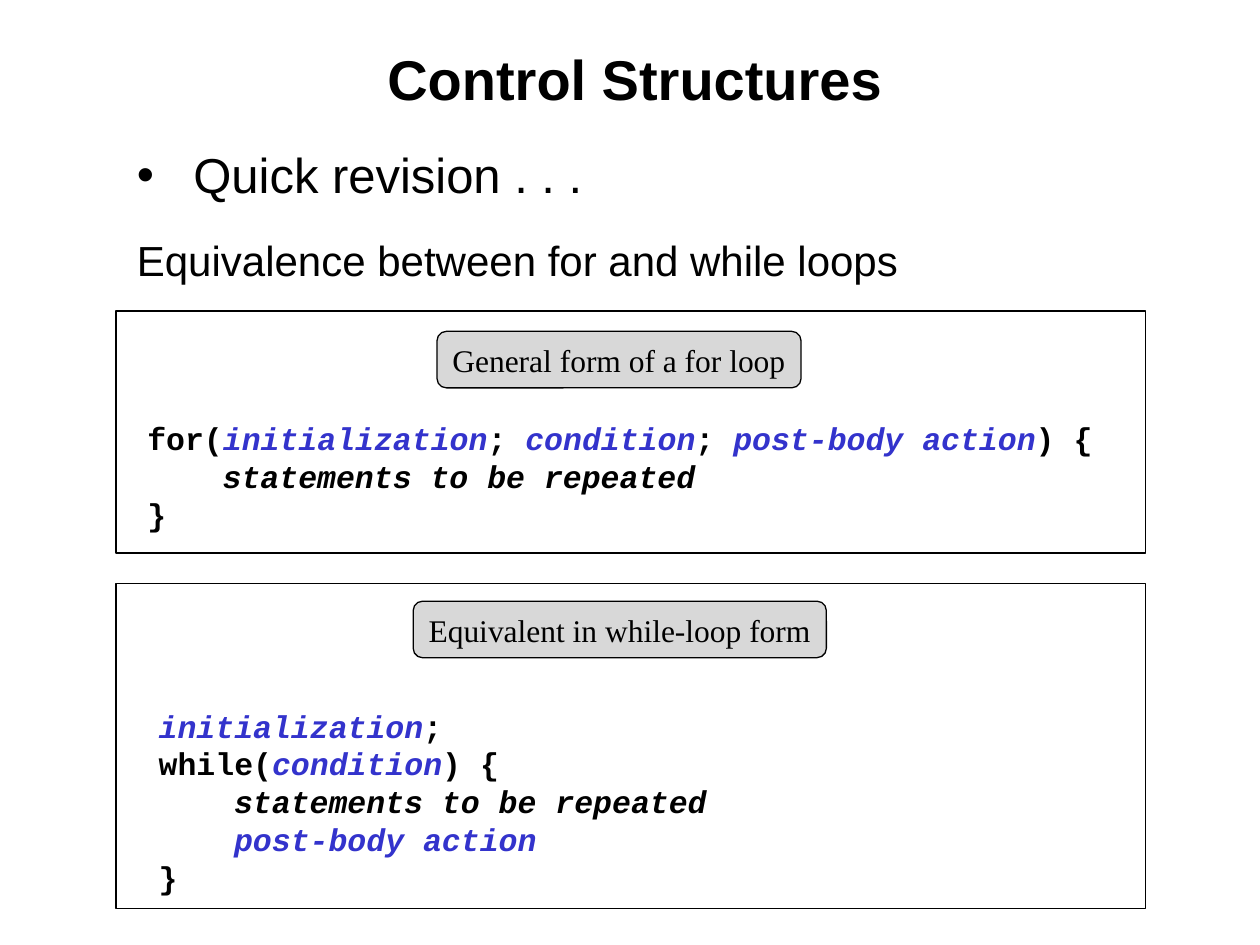
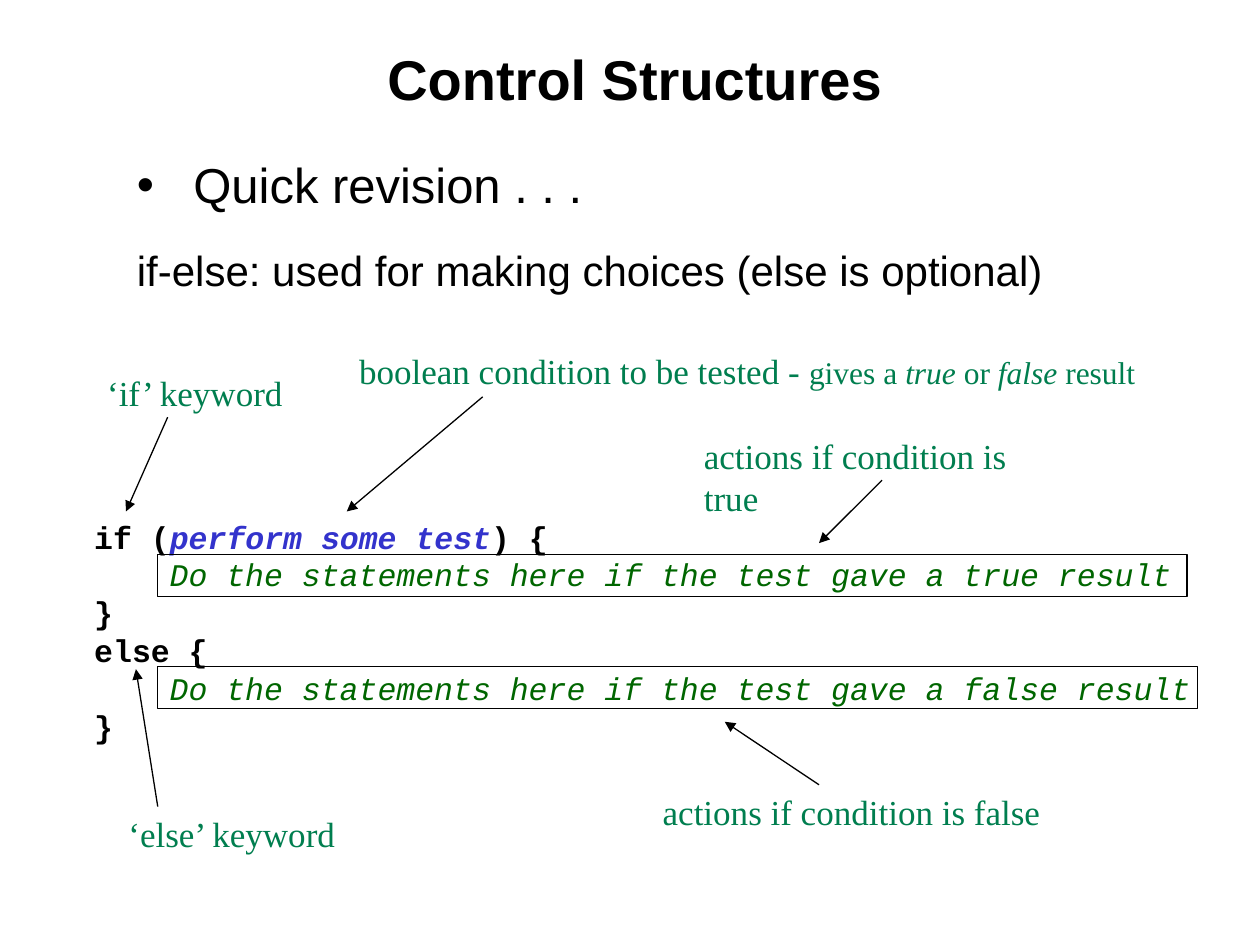
from lxml import etree
from pptx import Presentation
from pptx.dml.color import RGBColor
from pptx.enum.shapes import MSO_CONNECTOR, MSO_SHAPE
from pptx.enum.text import MSO_ANCHOR, PP_ALIGN
from pptx.oxml.ns import qn
from pptx.util import Cm, Pt

RECTANGLE = MSO_SHAPE.RECTANGLE
ROUNDED = MSO_SHAPE.ROUNDED_RECTANGLE
STRAIGHT = MSO_CONNECTOR.STRAIGHT
TOP, MIDDLE = MSO_ANCHOR.TOP, MSO_ANCHOR.MIDDLE
LEFT, CENTER = PP_ALIGN.LEFT, PP_ALIGN.CENTER

BLACK, BLUE, GREEN, TEAL, GREY = "000000", "3333CC", "006600", "007E4F", "B2B2B2"

TITLE = {"name": "Arial", "size": Pt(32), "bold": True, "color": BLACK}
TOPIC = {"name": "Arial", "size": Pt(28), "color": BLACK}
SUBTOPIC = {**TOPIC, "size": Pt(24)}
CAPTION = {"name": "Times New Roman", "size": Pt(18), "color": BLACK}
NOTE = {**CAPTION, "size": Pt(20), "color": TEAL}
DETAIL = {**NOTE, "size": Pt(18)}
DETAIL_ITALIC = {**DETAIL, "italic": True}
CODE = {"name": "Courier New", "size": Pt(18), "bold": True, "color": BLACK}
SLOT = {**CODE, "italic": True, "color": BLUE}
STATEMENT = {**CODE, "italic": True}
ACTION = {**STATEMENT, "bold": False, "color": GREEN}

CODE_INDENT = Cm(1.52)
BULLET_INDENT = Cm(1.14)
NOTE_HEIGHT = 1.12
FRAME_LEFT, FRAME_WIDTH = 2.34, 20.75
PILL_HEIGHT = 1.14
ACTION_LEFT, ACTION_HEIGHT = 3.18, 0.84


def rgb(value):
    """Turn a hex string into a colour."""
    return RGBColor.from_string(value)


def lengths(*values):
    """Turn centimetres into lengths."""
    return [Cm(value) for value in values]


class LectureDeck:
    """Holds the deck style and draws on the current page."""

    def __init__(self):
        """Start an empty 4:3 deck."""
        self.deck = Presentation()
        self.deck.slide_width, self.deck.slide_height = lengths(25.4, 19.05)
        self.page = None

    def add_spans(self, para, spans):
        """Add styled spans to a paragraph."""
        for text, style in spans:
            span = para.add_run()
            span.text = text
            for key, value in style.items():
                if key == "color":
                    span.font.color.rgb = rgb(value)
                else:
                    setattr(span.font, key, value)

    def fill_frame(self, box, lines, anchor=TOP, align=LEFT, wrap=True):
        """Put one paragraph per line and return the paragraphs."""
        frame = box.text_frame
        frame.word_wrap = wrap
        frame.vertical_anchor = anchor
        paras = [frame.paragraphs[0]] + [frame.add_paragraph() for _ in lines[1:]]
        for para, spans in zip(paras, lines):
            para.alignment = align
            self.add_spans(para, spans)
        return paras

    def text(self, place, lines):
        """Add a text box."""
        box = self.page.shapes.add_textbox(*lengths(*place))
        return self.fill_frame(box, lines)

    def new_page(self, title, topic, subtopic, topic_top, topic_width):
        """Add a page with its title, bulleted topic and subtopic."""
        self.page = self.deck.slides.add_slide(self.deck.slide_layouts[5])
        box = self.page.shapes.title
        box.left, box.top, box.width, box.height = lengths(4.01, 0.84, 17.58, 1.47)
        self.fill_frame(box, [[(title, TITLE)]], MIDDLE, CENTER)
        lines = [[(topic, TOPIC)], [(subtopic, SUBTOPIC)]]
        para = self.text((2.51, topic_top, topic_width, 2.97), lines)[0]
        spacing = {"line_spacing": 0.9, "space_before": Pt(7), "space_after": Pt(17.5)}
        for key, value in spacing.items():
            setattr(para, key, value)
        properties = para._p.get_or_add_pPr()
        properties.set("marL", str(BULLET_INDENT))
        properties.set("indent", str(-BULLET_INDENT))
        etree.SubElement(properties, qn("a:buFont"), typeface="Arial")
        etree.SubElement(properties, qn("a:buChar"), char="•")

    def code(self, place, rows):
        """Add a code listing from rows of (level, spans)."""
        paras = self.text(place, [spans for _, spans in rows])
        for para, (level, _) in zip(paras, rows):
            para._p.get_or_add_pPr().set("marL", str(level * CODE_INDENT))

    def note(self, left, top, width, *spans):
        """Add a one-line annotation."""
        self.text((left, top, width, NOTE_HEIGHT), [spans])

    def outline(self, place, kind=RECTANGLE):
        """Add an unfilled shape with a thin black line."""
        shape = self.page.shapes.add_shape(kind, *lengths(*place))
        shape.shadow.inherit = False
        shape.fill.background()
        shape.line.color.rgb = rgb(BLACK)
        shape.line.width = Pt(0.75)
        return shape

    def pill(self, left, top, width, caption):
        """Add a half-transparent rounded caption."""
        shape = self.outline((left, top, width, PILL_HEIGHT), ROUNDED)
        shape.fill.solid()
        shape.fill.fore_color.rgb = rgb(GREY)
        color = shape._element.spPr.find(qn("a:solidFill"))[0]
        etree.SubElement(color, qn("a:alpha"), val="50000")
        self.fill_frame(shape, [[(caption, CAPTION)]], MIDDLE, CENTER, False)

    def arrow(self, *ends):
        """Add a straight arrow from the first point to the second."""
        line = self.page.shapes.add_connector(STRAIGHT, *lengths(*ends))
        line.line.color.rgb = rgb(BLACK)
        line.line.width = Pt(0.75)
        properties = line._element.spPr
        etree.SubElement(properties.find(qn("a:ln")), qn("a:tailEnd"), type="triangle")
        etree.SubElement(properties, qn("a:effectLst"))


def loops_page(lecture):
    """Draw the page that compares for and while loops."""
    lecture.new_page("Control Structures", "Quick revision . . .",
                     "Equivalence between for and while loops", 2.92, 16)
    for top, height in ((6.27, 4.88), (11.76, 6.55)):
        lecture.outline((FRAME_LEFT, top, FRAME_WIDTH, height))
    lecture.pill(8.81, 6.68, 7.34, "General form of a for loop")
    lecture.pill(8.33, 12.12, 8.33, "Equivalent in while-loop form")
    repeated = (1, [("statements to be repeated", STATEMENT)])
    close = (0, [("}", CODE)])
    lecture.code((2.72, 8.33, 19.7, 2.54), [
        (0, [("for(", CODE), ("initialization", SLOT), ("; ", CODE), ("condition", SLOT),
             ("; ", CODE), ("post-body action", SLOT), (") {", CODE)]),
        repeated,
        close,
    ])
    lecture.code((2.95, 14.12, 11.7, 4.06), [
        (0, [("initialization", SLOT), (";", CODE)]),
        (0, [("while(", CODE), ("condition", SLOT), (") {", CODE)]),
        repeated,
        (1, [("post-body action", SLOT)]),
        close,
    ])


def choices_page(lecture):
    """Draw the page that explains if-else."""
    lecture.new_page("Control Structures", "Quick revision . . .",
                     "if-else: used for making choices (else is optional)", 3.12, 18.9)
    close = (0, [("}", CODE)])
    lecture.code((1.65, 10.31, 22.8, 4.83), [
        (0, [("if (", CODE), ("perform some test", SLOT), (") {", CODE)]),
        (1, [("Do the statements here if the test gave a true result", ACTION)]),
        close,
        (0, [("else {", CODE)]),
        (1, [("Do the statements here if the test gave a false result", ACTION)]),
        close,
    ])
    lecture.note(1.91, 7.37, 4.06, ("‘if’ keyword", NOTE))
    lecture.note(6.99, 6.93, 16.4, ("boolean condition to be tested - ", NOTE),
                 ("gives a ", DETAIL), ("true", DETAIL_ITALIC), (" or ", DETAIL),
                 ("false", DETAIL_ITALIC), (" result", DETAIL))
    lecture.note(13.94, 8.64, 7.87, ("actions if condition is true", NOTE))
    lecture.note(13.11, 15.82, 8.13, ("actions if condition is false", NOTE))
    lecture.note(2.34, 16.26, 4.72, ("‘else’ keyword", NOTE))
    for ends in (
        (3.38, 8.41, 2.54, 10.31),
        (3.18, 16.26, 2.74, 13.49),
        (9.73, 8, 6.99, 10.31),
        (17.78, 9.68, 16.51, 10.95),
        (16.51, 15.82, 14.61, 14.55),
    ):
        lecture.arrow(*ends)
    for top, width in ((13.44, 20.96), (11.18, 20.75)):
        lecture.outline((ACTION_LEFT, top, width, ACTION_HEIGHT))


def main():
    """Build and save the deck."""
    lecture = LectureDeck()
    loops_page(lecture)
    choices_page(lecture)
    lecture.deck.save("out.pptx")


if __name__ == "__main__":
    main()
